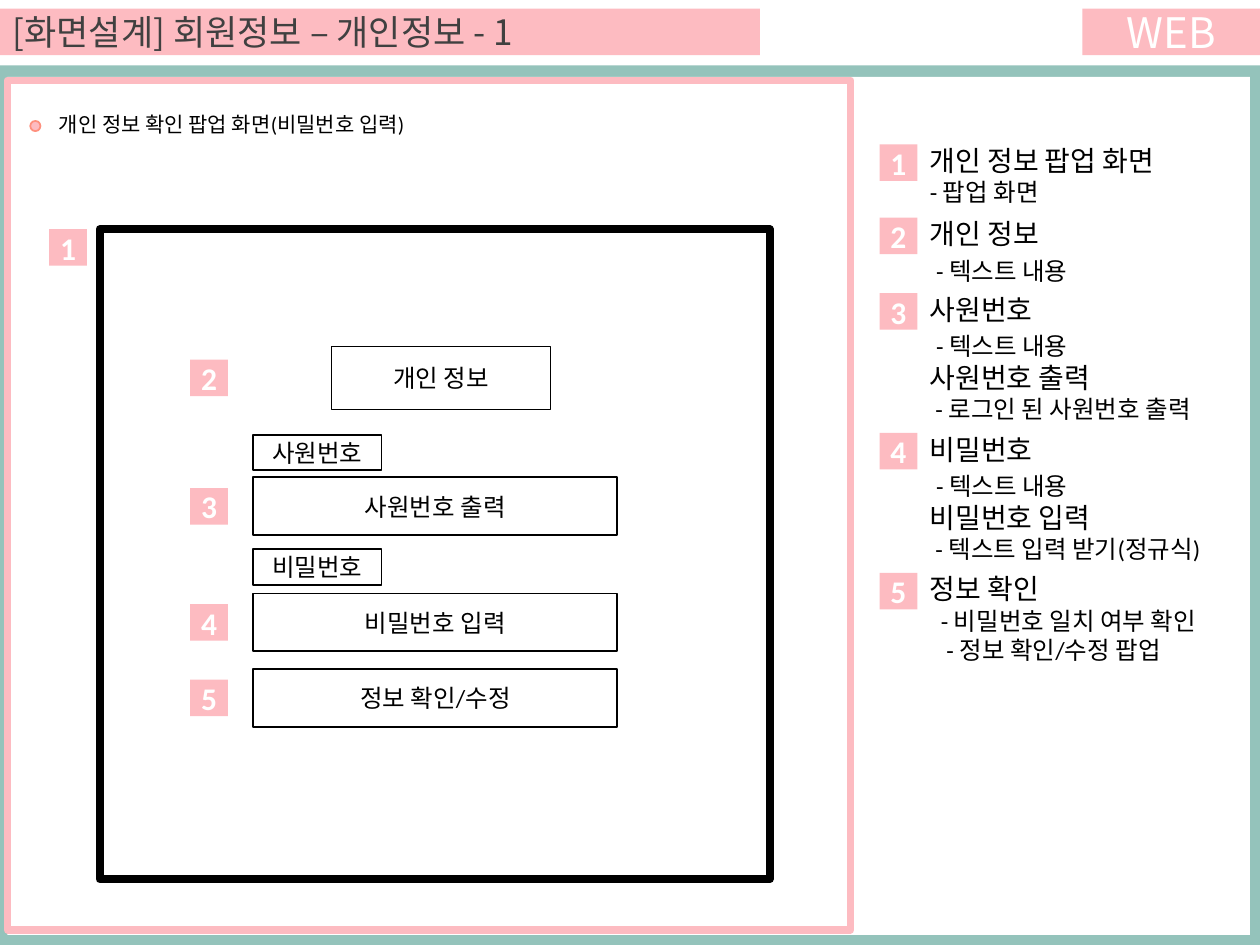
from pptx import Presentation
from pptx.dml.color import RGBColor
from pptx.enum.shapes import MSO_SHAPE
from pptx.enum.text import MSO_ANCHOR, MSO_AUTO_SIZE, PP_ALIGN
from pptx.oxml.ns import qn
from pptx.util import Pt
from lxml import etree

PINK = RGBColor(0xFD, 0xBB, 0xC1)
CORAL = RGBColor(0xFE, 0x90, 0x7E)
TEAL = RGBColor(0x94, 0xC3, 0xBB)
WHITE = RGBColor(0xFF, 0xFF, 0xFF)
BLACK = RGBColor(0, 0, 0)
GRAY = RGBColor(0x40, 0x40, 0x40)
KOREAN = "Noto Sans CJK KR"


def add_run(p, text, size, color=BLACK, font="Calibri", bold=False):
    r = p.add_run()
    r.text = text
    r.font.size = Pt(size)
    r.font.bold = bold
    r.font.color.rgb = color
    r.font.name = font
    etree.SubElement(r.font._element, qn("a:ea"), typeface=KOREAN)


def indent(p, points):
    pPr = p._p.get_or_add_pPr()
    pPr.set("marL", str(Pt(points)))
    pPr.set("indent", "0")


def add_box(s, x, y, w, h, fill=None, line=None, width=1, kind=MSO_SHAPE.RECTANGLE):
    sp = s.shapes.add_shape(kind, Pt(x), Pt(y), Pt(w), Pt(h))
    sp.shadow.inherit = False
    if fill is None:
        sp.fill.background()
    else:
        sp.fill.solid()
        sp.fill.fore_color.rgb = fill
    if line is None:
        sp.line.fill.background()
    else:
        sp.line.color.rgb = line
        sp.line.width = Pt(width)
    return sp


def label(sp, text, size, **style):
    tf = sp.text_frame
    tf.margin_left = tf.margin_right = tf.margin_top = tf.margin_bottom = 0
    tf.vertical_anchor = MSO_ANCHOR.MIDDLE
    p = tf.paragraphs[0]
    p.alignment = PP_ALIGN.CENTER
    add_run(p, text, size, **style)


def add_text(s, x, y, w, h):
    tf = s.shapes.add_textbox(Pt(x), Pt(y), Pt(w), Pt(h)).text_frame
    tf.word_wrap = True
    tf.auto_size = MSO_AUTO_SIZE.SHAPE_TO_FIT_TEXT
    return tf


def add_badge(s, number, x, y):
    label(add_box(s, x, y, 21.6, 20.9, PINK), str(number), 18, color=WHITE, bold=True)


def add_header(s, x, y, w, h):
    title = s.shapes.title
    title.left, title.top, title.width, title.height = Pt(x), Pt(y), Pt(434.2), Pt(h)
    title.fill.solid()
    title.fill.fore_color.rgb = PINK
    tf = title.text_frame
    tf.auto_size = MSO_AUTO_SIZE.NONE
    tf.vertical_anchor = MSO_ANCHOR.MIDDLE
    p = tf.paragraphs[0]
    p.alignment = PP_ALIGN.LEFT
    add_run(p, "[화면설계] 회원정보 – 개인정보 - 1", 20, GRAY, KOREAN)
    tag_w = 101.5
    label(add_box(s, x + w - tag_w, y, tag_w, h, PINK), "WEB", 24, color=WHITE, font=KOREAN)


def add_frame(s, x, y, w, h):
    add_box(s, x, y, w, h, TEAL)
    add_box(s, x + 4.3, y + 6.5, w - 10.1, h - 12.2, WHITE)
    add_box(s, x + 4.3, y + 8.6, 481.7, 485.3, line=PINK, width=4.5)


def add_caption(s, x, y):
    add_box(s, x, y + 8.6, 5.8, 5.8, PINK, CORAL, kind=MSO_SHAPE.OVAL)
    p = add_text(s, x + 6.5, y, 278, 21.6).paragraphs[0]
    indent(p, 2.7)
    add_run(p, "개인 정보 확인 팝업 화면(비밀번호 입력)", 12)


def add_popup(s, x, y, w, h):
    add_box(s, x, y, w, h, WHITE, BLACK, 4.5)
    add_badge(s, 1, x - 28.8, y)
    # Field: text, offset from the popup corner, size, badge number
    left, field, tag = 87.8, (208.1, 33.1), (73.4, 20.2)
    fields = [
        ("개인 정보", 132.5, 67, (125.3, 36), 2),
        ("사원번호", left, 117.4, tag, None),
        ("사원번호 출력", left, 141.8, field, 3),
        ("비밀번호", left, 182.9, tag, None),
        ("비밀번호 입력", left, 208.1, field, 4),
        ("정보 확인/수정", left, 251.3, field, 5),
    ]
    for text, dx, dy, (fw, fh), number in fields:
        label(add_box(s, x + dx, y + dy, fw, fh, WHITE, BLACK), text, 14)
        if number:
            add_badge(s, number, x + 51.8, y + dy + (fh - 20.9) / 2)


def add_notes_panel(s, x, y, w):
    # Line: text, size, left indent, space before
    content = ("- 텍스트 내용", 14, 3.6, 3)
    notes = [
        (0, 43.9, [("개인 정보 팝업 화면", 16, 0, 0), ("- 팝업 화면", 14, 0, 0)]),
        (41.8, 46.1, [("개인 정보", 16, 0, 0), content]),
        (85, 82.1, [("사원번호", 16, 0, 0), content, ("사원번호 출력", 16, 0, 0),
                    ("- 로그인 된 사원번호 출력", 14, 3.2, 0)]),
        (164.9, 82.1, [("비밀번호", 16, 0, 0), content, ("비밀번호 입력", 16, 0, 0),
                       ("- 텍스트 입력 받기(정규식)", 14, 3.2, 0)]),
        (244.8, 60.5, [("정보 확인", 16, 0, 0), ("- 비밀번호 일치 여부 확인", 14, 6.3, 0),
                       ("- 정보 확인/수정 팝업", 14, 9.5, 0)]),
    ]
    for number, (dy, h, lines) in enumerate(notes, 1):
        add_badge(s, number, x, y + dy + 4)
        tf = add_text(s, x + 21.6, y + dy, w - 21.6, h)
        for i, (text, size, left, before) in enumerate(lines):
            p = tf.add_paragraph() if i else tf.paragraphs[0]
            indent(p, left)
            p.space_before = Pt(before)
            add_run(p, text, size)


def main():
    prs = Presentation()
    prs.slide_width, prs.slide_height = Pt(720), Pt(540)
    s = prs.slides.add_slide(prs.slide_layouts[5])
    add_header(s, 0, 5, 720, 26.6)
    add_frame(s, 0, 37.4, 720, 502.6)
    add_caption(s, 17.3, 60.5)
    add_popup(s, 56.9, 131, 383, 371.5)
    add_notes_panel(s, 502.6, 78.5, 212.4)
    prs.save("out.pptx")


if __name__ == "__main__":
    main()
